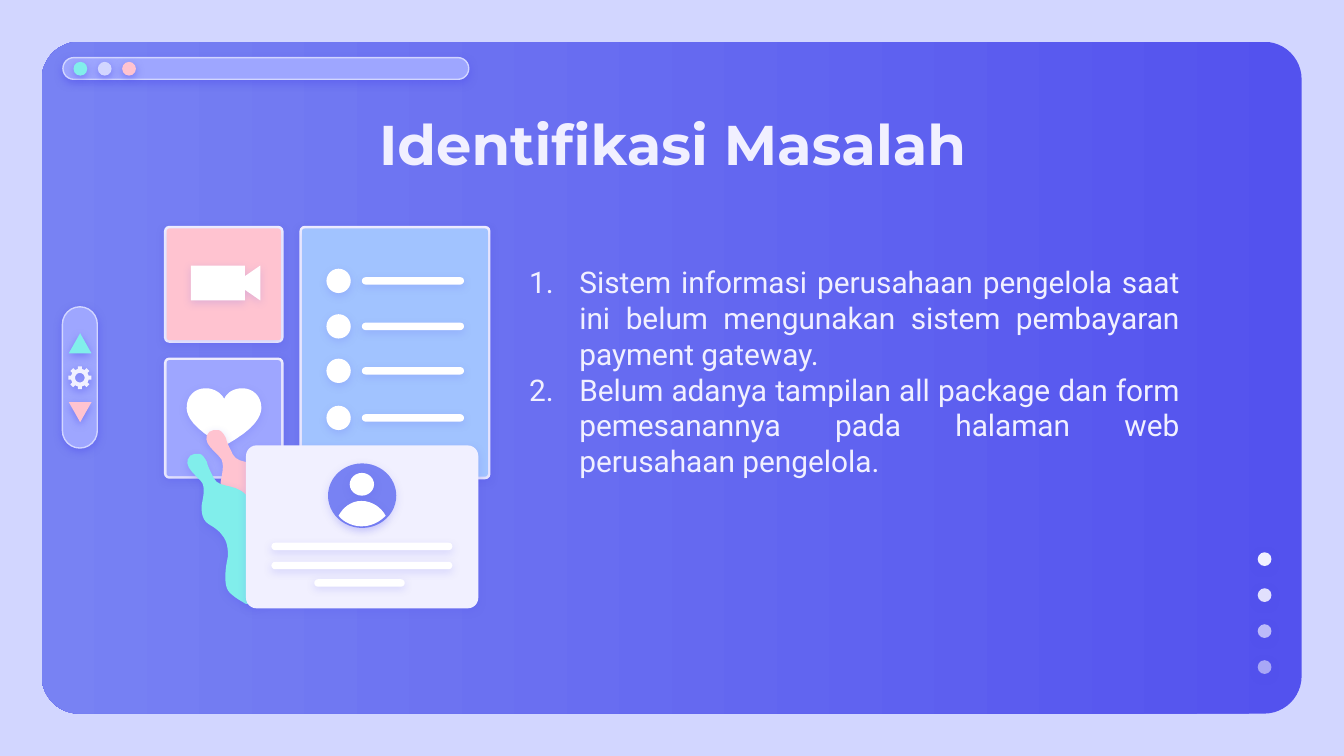
"""Build the problem identification slide with its interface illustration."""
from math import cos, radians, sin

from lxml import etree
from pptx import Presentation
from pptx.dml.color import RGBColor
from pptx.enum.shapes import MSO_SHAPE
from pptx.enum.text import MSO_ANCHOR, PP_ALIGN
from pptx.oxml.ns import qn
from pptx.util import Cm, Pt

ROUNDED = MSO_SHAPE.ROUNDED_RECTANGLE
OVAL = MSO_SHAPE.OVAL
TRIANGLE = MSO_SHAPE.ISOSCELES_TRIANGLE
MIDDLE = MSO_ANCHOR.MIDDLE
CENTER = PP_ALIGN.CENTER
JUSTIFY = PP_ALIGN.JUSTIFY

THEME = {
    "backdrop": "D2D6FF", "deep": "5352EE", "soft": "7882F3", "lilac": "9EA6FF",
    "sky": "A1C3FF", "mint": "81EEEB", "coral": "FFC3D0", "pale": "F1F0FF",
    "white": "FFFFFF", "title_font": "Montserrat", "body_font": "Roboto",
    "title_size": 30, "body_size": 16, "border": 0.75,
}

TITLE = "Identifikasi Masalah"
PROBLEMS = [
    "Sistem informasi perusahaan pengelola saat ini belum mengunakan sistem "
    "pembayaran payment gateway.",
    "Belum adanya tampilan all package dan form pemesanannya pada halaman web "
    "perusahaan pengelola.",
]
WINDOW_DOTS = ["mint", "backdrop", "coral"]
PAGE_DOT_OPACITY = [100, 90, 67, 54]
LIST_ROWS = [5.31, 6.17, 7.01, 7.9]
CARD_LINES = [(5.13, 10.26, 3.42), (5.13, 10.62, 3.42), (5.94, 10.95, 1.71)]
ARROWS = [(6.3, "mint", 0), (7.6, "coral", 180)]

HEART = [
    (0.36, 0), (0.15, 0, 0, 0.15, 0, 0.36), (0, 0.43, 0, 0.66, 0.51, 0.97),
    (0.71, 1.09), (0.91, 0.97), (1.41, 0.66, 1.41, 0.43, 1.41, 0.36),
    (1.41, 0.15, 1.25, 0, 1.05, 0), (0.89, 0, 0.76, 0.08, 0.71, 0.2),
    (0.64, 0.08, 0.51, 0, 0.36, 0),
]
SPLASH = [
    (0.3, 0), (0.25, 0, 0.23, 0.03, 0.2, 0.03),
    (0, 0.23, 0.36, 0.43, 0.43, 0.56), (0.48, 0.69, 0.43, 0.86, 0.41, 0.99),
    (0.41, 1.14, 0.43, 1.27, 0.58, 1.35), (0.66, 1.4, 0.74, 1.45, 0.81, 1.55),
    (0.89, 1.65, 0.91, 1.78, 0.91, 1.93), (0.89, 2.03, 0.86, 2.18, 0.86, 2.31),
    (0.86, 2.39, 0.86, 2.54, 0.94, 2.62), (1.04, 2.72, 1.14, 2.77, 1.22, 2.82),
    (1.24, 2.84, 1.3, 2.84, 1.32, 2.84), (1.4, 2.84, 1.47, 2.82, 1.55, 2.79),
    (1.75, 2.74, 1.96, 2.62, 2.03, 2.41), (2.18, 2.11, 2.06, 1.73, 1.78, 1.55),
    (1.68, 1.5, 1.6, 1.45, 1.55, 1.37), (1.42, 1.27, 1.4, 1.04, 1.35, 0.91),
    (1.14, 0.51, 0.76, 0.69, 0.64, 0.46), (0.58, 0.33, 0.53, 0.25, 0.51, 0.15),
    (0.48, 0.1, 0.43, 0, 0.36, 0),
]
SHOULDERS = [
    (0.43, 0), (0.23, 0, 0.08, 0.13, 0, 0.28), (0.1, 0.41, 0.28, 0.48, 0.43, 0.48),
    (0.61, 0.48, 0.76, 0.41, 0.89, 0.28), (0.81, 0.13, 0.64, 0, 0.43, 0),
]
CAMERA = [(0, 0), (0, 0.66), (1.02, 0.66), (1.02, 0.46), (1.31, 0.66),
          (1.31, 0), (1.02, 0.2), (1.02, 0)]


def rgb(colour):
    return RGBColor.from_string(THEME[colour])


def set_opacity(colour_element, percent):
    etree.SubElement(colour_element, qn("a:alpha")).set("val", str(percent * 1000))


def finish(shape, colour, shade=16, opacity=100):
    shape.fill.solid()
    shape.fill.fore_color.rgb = rgb(colour)
    if opacity < 100:
        set_opacity(shape.fill._xPr.find(".//" + qn("a:srgbClr")), opacity)
    shape.line.fill.background()
    shape.shadow.inherit = False
    effects = shape._element.spPr.find(qn("a:effectLst"))
    shadow = etree.SubElement(effects, qn("a:outerShdw"), blurRad=str(Pt(4.5)),
                              dist=str(Pt(1.5)), dir="5400000", algn="bl", rotWithShape="0")
    tint = etree.SubElement(shadow, qn("a:srgbClr"), val=THEME["deep"])
    set_opacity(tint, shade)
    return shape


def add_preset(slide, preset, box, colour, **look):
    shape = slide.shapes.add_shape(preset, *map(Cm, box))
    return finish(shape, colour, **look)


def add_rounded(slide, box, colour, radius, **look):
    shape = add_preset(slide, ROUNDED, box, colour, **look)
    shape.adjustments[0] = radius / min(box[2:])
    return shape


def add_pill(slide, box, colour, **look):
    return add_rounded(slide, box, colour, min(box[2:]) / 2, **look)


def add_bar(slide, box):
    bar = add_pill(slide, box, "lilac", shade=50)
    bar.line.color.rgb = rgb("backdrop")
    bar.line.width = Pt(THEME["border"])


def add_tile(slide, box, colour):
    left, top, width, height = box
    add_rounded(slide, box, "pale", 0.1)
    add_rounded(slide, (left + 0.05, top + 0.05, width - 0.1, height - 0.1), colour, 0.05)


def flatten(outline, steps=8):
    points = [outline[0]]
    for segment in outline[1:]:
        if len(segment) == 2:
            points.append(segment)
            continue
        curve = (*points[-1], *segment)
        for step in range(1, steps + 1):
            t = step / steps
            weights = ((1 - t) ** 3, 3 * t * (1 - t) ** 2, 3 * t * t * (1 - t), t ** 3)
            points.append(tuple(sum(w * c for w, c in zip(weights, curve[axis::2]))
                                for axis in (0, 1)))
    return points


def add_outline(slide, origin, contours, colour, shade=16):
    placed = [[(Cm(origin[0] + x), Cm(origin[1] + y)) for x, y in contour]
              for contour in contours]
    builder = slide.shapes.build_freeform(*placed[0][0])
    builder.add_line_segments(placed[0][1:])
    for contour in placed[1:]:
        builder.move_to(*contour[0])
        builder.add_line_segments(contour[1:])
    finish(builder.convert_to_shape(), colour, shade)


def polar(angle, radius):
    return radius * cos(radians(angle)), radius * sin(radians(angle))


def gear_contours(outer=0.22, inner=0.17, hole=0.09):
    tooth = [(-10, outer), (10, outer), (13, inner), (32, inner)]
    rim = [polar(turn + angle, radius) for turn in range(0, 360, 45) for angle, radius in tooth]
    return [rim, [polar(-angle, hole) for angle in range(0, 360, 15)]]


def add_window(slide):
    panel = add_rounded(slide, (0.79, 0.79, 23.81, 12.7), "deep", 0.71)
    panel._element.spPr.find(qn("a:effectLst")).clear()
    panel.fill.gradient()
    panel.fill.gradient_angle = 180
    for stop, colour in zip(panel.fill.gradient_stops, ("deep", "soft")):
        stop.color.rgb = rgb(colour)
    add_bar(slide, (1.19, 1.09, 7.67, 0.41))
    for index, colour in enumerate(WINDOW_DOTS):
        add_preset(slide, OVAL, (1.39 + 0.46 * index, 1.17, 0.26, 0.26), colour, shade=50)
    for index, opacity in enumerate(PAGE_DOT_OPACITY):
        add_preset(slide, OVAL, (23.77, 10.44 + 0.68 * index, 0.26, 0.26), "pale",
                   shade=50, opacity=opacity)


def add_illustration(slide):
    add_tile(slide, (3.1, 6.76, 2.26, 2.29), "lilac")
    add_outline(slide, (3.53, 7.34), [flatten(HEART)], "white")
    add_outline(slide, (3.76, 8.13), [flatten(SPLASH)], "coral", 22)
    add_outline(slide, (3.4, 8.58), [flatten(SPLASH)], "mint", 22)
    add_tile(slide, (5.66, 4.27, 3.61, 4.79), "sky")
    for middle in LIST_ROWS:
        add_preset(slide, OVAL, (6.17, middle - 0.23, 0.46, 0.46), "white")
        add_pill(slide, (6.84, middle - 0.07, 1.93, 0.14), "white")
    add_rounded(slide, (4.65, 8.42, 4.39, 3.08), "pale", 0.2)
    for left, top, width in CARD_LINES:
        add_pill(slide, (left, top, width, 0.14), "white")
    add_preset(slide, OVAL, (6.2, 8.76, 1.29, 1.22), "soft")
    add_preset(slide, OVAL, (6.61, 8.94, 0.46, 0.43), "white")
    add_outline(slide, (6.4, 9.47), [flatten(SHOULDERS)], "white")
    add_tile(slide, (3.1, 4.27, 2.26, 2.21), "coral")
    add_outline(slide, (3.61, 5.02), [CAMERA], "white")


def add_scroller(slide):
    add_bar(slide, (1.18, 5.8, 0.66, 2.67))
    for top, colour, turn in ARROWS:
        add_preset(slide, TRIANGLE, (1.3, top, 0.43, 0.38), colour, shade=50).rotation = turn
    add_outline(slide, (1.51, 7.14), gear_contours(), "pale", 52)


def add_text(slide, box, paragraphs, font, size, align, bold=False):
    frame = slide.shapes.add_textbox(*map(Cm, box)).text_frame
    frame.word_wrap = True
    frame.margin_left = frame.margin_right = frame.margin_top = frame.margin_bottom = Cm(0.25)
    frame.text = "\n".join(paragraphs)
    for paragraph in frame.paragraphs:
        paragraph.alignment = align
        for run in paragraph.runs:
            run.font.name = THEME[font]
            run.font.size = Pt(THEME[size])
            run.font.bold = bold
            run.font.color.rgb = rgb("pale")
    return frame


def add_numbers(frame):
    for paragraph in frame.paragraphs:
        properties = paragraph._p.get_or_add_pPr()
        properties.set("marL", str(Cm(0.95)))
        properties.set("indent", str(-Cm(0.95)))
        tint = etree.SubElement(properties, qn("a:buClr"))
        etree.SubElement(tint, qn("a:srgbClr"), val=THEME["pale"])
        etree.SubElement(properties, qn("a:buAutoNum"), type="arabicPeriod")


def main():
    deck = Presentation()
    deck.slide_width, deck.slide_height = Cm(25.4), Cm(14.29)
    slide = deck.slides.add_slide(deck.slide_layouts[6])
    slide.background.fill.solid()
    slide.background.fill.fore_color.rgb = rgb("backdrop")
    add_window(slide)
    body = add_text(slide, (9.75, 4.27, 12.8, 6.32), PROBLEMS, "body_font", "body_size", JUSTIFY)
    body.vertical_anchor = MIDDLE
    body.margin_bottom = Cm(1.07)
    add_numbers(body)
    add_illustration(slide)
    add_scroller(slide)
    add_text(slide, (2.01, 1.83, 21.41, 1.6), [TITLE], "title_font", "title_size", CENTER, True)
    deck.save("out.pptx")


if __name__ == "__main__":
    main()
